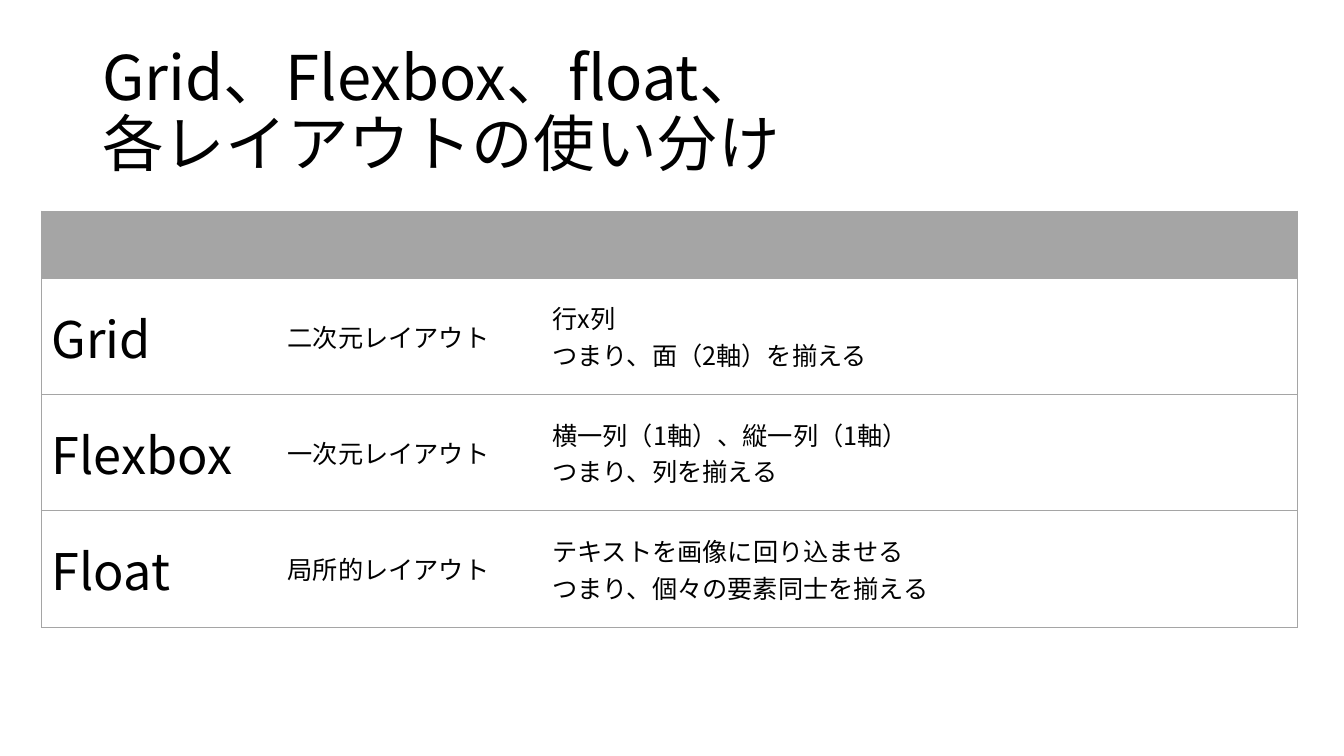
from lxml import etree
from pptx import Presentation, util as u
from pptx.dml.color import RGBColor
from pptx.enum import text
from pptx.oxml.ns import qn

COLUMNS, ROWS = 160, 90
LAYOUTS = [
    ("Grid", "二次元レイアウト", "行x列\nつまり、面（2軸）を揃える"),
    ("Flexbox", "一次元レイアウト", "横一列（1軸）、縦一列（1軸）\nつまり、列を揃える"),
    ("Float", "局所的レイアウト", "テキストを画像に回り込ませる\nつまり、個々の要素同士を揃える"),
]


def rgb(value):
    return RGBColor.from_string(value)


def write(tf, content, size=18, font="Noto Sans CJK JP", color="000000", spacing=1.0):
    tf.text = content
    for p in tf.paragraphs:
        p.line_spacing = spacing
        for r in p.runs:
            r.font.size = u.Pt(size)
            r.font.color.rgb = rgb(color)
            r.font.name = font
            etree.SubElement(r.font._element, qn("a:ea"), typeface=font)


class Deck:
    gray = "A5A5A5"
    white = "FFFFFF"
    sizes = (36, 18, 18)

    def __init__(self):
        self.prs = Presentation()
        self.prs.slide_width = u.Inches(13.333)
        self.prs.slide_height = u.Inches(7.5)
        self.s = self.prs.slides.add_slide(self.prs.slide_layouts[6])

    def x(self, columns):
        return int(self.prs.slide_width * columns / COLUMNS)

    def y(self, rows):
        return int(self.prs.slide_height * rows / ROWS)

    def title(self, content, left, top, width, height):
        sp = self.s.shapes.add_textbox(self.x(left), self.y(top), self.x(width), self.y(height))
        tf = sp.text_frame
        tf.word_wrap = True
        tf.vertical_anchor = text.MSO_ANCHOR.MIDDLE
        write(tf, content, size=44, spacing=0.9)

    def borders(self, cell, sides):
        tc_pr = cell._tc.get_or_add_tcPr()
        for i, side in enumerate("LRTB"):
            ln = etree.Element(qn("a:ln" + side), w=str(u.Pt(0.5)))
            if side in sides:
                fill = etree.SubElement(ln, qn("a:solidFill"))
                etree.SubElement(fill, qn("a:srgbClr"), val=self.gray)
            else:
                etree.SubElement(ln, qn("a:noFill"))
            tc_pr.insert(i, ln)

    def table(self, rows, left, top, widths, heights):
        table = self.s.shapes.add_table(
            len(heights), len(widths), self.x(left), self.y(top),
            self.x(sum(widths)), self.y(sum(heights))).table
        table.first_row = table.horz_banding = False
        for column, width in zip(table.columns, widths):
            column.width = self.x(width)
        for row, height in zip(table.rows, heights):
            row.height = self.y(height)
        header = ("",) * len(widths)
        for i, row in enumerate([header, *rows]):
            for j, content in enumerate(row):
                cell = table.cell(i, j)
                cell.fill.solid()
                cell.fill.fore_color.rgb = rgb(self.white if i else self.gray)
                cell.vertical_anchor = text.MSO_ANCHOR.MIDDLE
                if content:
                    write(cell.text_frame, content, size=self.sizes[j])
                edges = {0: "L", len(widths) - 1: "R"}
                self.borders(cell, "TB" + edges.get(j, ""))


def main():
    deck = Deck()
    deck.title("Grid、Flexbox、float、\v各レイアウトの使い分け", 11, 4.8, 138, 17.4)
    deck.table(LAYOUTS, 4.95, 25.1, (28.1, 31.5, 89.9), (8,) + (13.85,) * len(LAYOUTS))
    deck.prs.save("out.pptx")


if __name__ == "__main__":
    main()
